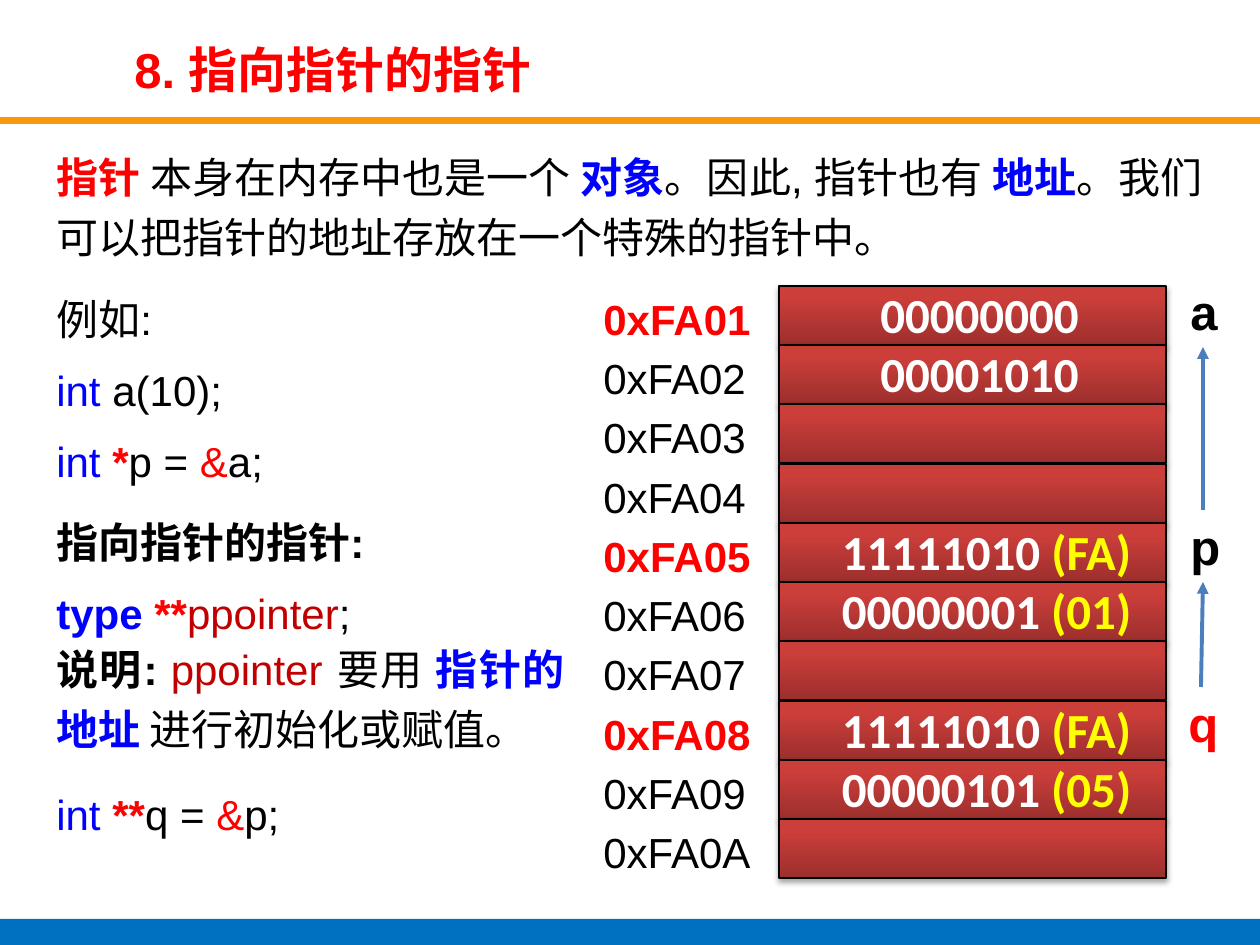
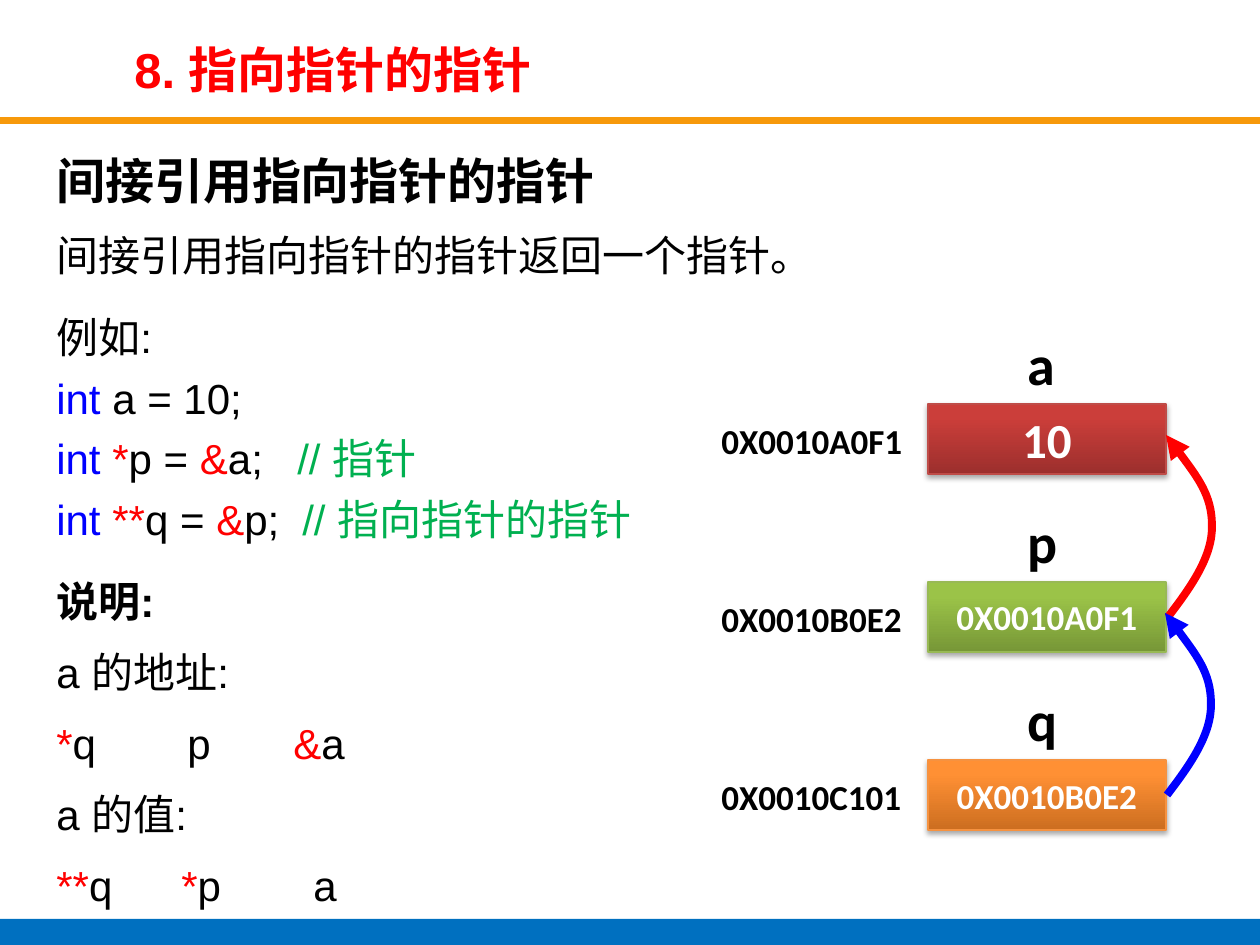
from dataclasses import dataclass
from lxml.etree import SubElement
from pptx import Presentation
from pptx.dml.color import RGBColor
from pptx.enum.shapes import MSO_CONNECTOR, MSO_SHAPE
from pptx.enum.text import MSO_ANCHOR, PP_ALIGN
from pptx.oxml.ns import qn
from pptx.util import Pt

SCALE = 914400 / 126
SLIDE_SIZE = 1260, 945

BLACK, WHITE, RED, BLUE = "000000", "FFFFFF", "FF0000", "0000FF"
YELLOW, GREEN, DARK_RED, ARROW_BLUE = "FFFF00", "00B050", "C00000", "4B7EBC"
RED_BOX = "9C2F2D", "CB3E3A"
GREEN_BOX = "779737", "9BC348"
ORANGE_BOX = "CC6E20", "FF9034"
LEFT, CENTER, JUSTIFY = PP_ALIGN.LEFT, PP_ALIGN.CENTER, PP_ALIGN.JUSTIFY


@dataclass
class Para:
    runs: list
    size: int = 24
    line: float = 1.2
    before: int = 6
    after: int = 0
    tabs: tuple = ()
    align: int = JUSTIFY
    face: str = "Arial"


def label(text, size, color=BLACK, bold=True, align=LEFT, face="Arial"):
    return Para([(text, color, bold)], size, 1, 0, 0, (), align, face)


TITLE = "8. 指向指针的指针"
BANDS = [(117, 7, "F7990A"), (919, 26, "0070C0")]

DEFINITION = [
    Para([("指针 ", RED, True), ("本身在内存中也是一个 ", BLACK, False), ("对象", BLUE, True),
          ("。因此, 指针也有 ", BLACK, False), ("地址", BLUE, True),
          ("。我们可以把指针的地址存放在一个特殊的指针中。", BLACK, False)], after=6),
    Para([("例如:", BLACK, False)]),
    Para([("int", BLUE, False), (" a(10);", BLACK, False)]),
    Para([("int ", BLUE, False), ("*", RED, True), ("p = ", BLACK, False),
          ("&", RED, False), ("a;", BLACK, False)], after=6),
    Para([("指向指针的指针:", BLACK, True)]),
    Para([("type ", BLUE, True), ("**", RED, True), ("ppointer", DARK_RED, False),
          (";", BLACK, False)]),
    Para([("int ", BLUE, False), ("**", RED, True), ("q = ", BLACK, False),
          ("&", RED, False), ("p;", BLACK, False)], before=80),
]
EXPLANATION = [
    Para([("说明: ", BLACK, True), ("ppointer ", DARK_RED, False), ("要用 ", BLACK, False),
          ("指针的地址 ", BLUE, True), ("进行初始化或赋值。", BLACK, False)], before=0),
]
MEMORY = [
    ("0xFA01", "00000000", ""),
    ("0xFA02", "00001010", ""),
    ("0xFA03", "", ""),
    ("0xFA04", "", ""),
    ("0xFA05", "11111010", "(FA)"),
    ("0xFA06", "00000001", "(01)"),
    ("0xFA07", "", ""),
    ("0xFA08", "11111010", "(FA)"),
    ("0xFA09", "00000101", "(05)"),
    ("0xFA0A", "", ""),
]
OBJECT_STARTS = "0xFA01", "0xFA05", "0xFA08"
VARIABLES = [("a", 1178, 275, BLACK), ("p", 1178, 510, BLACK), ("q", 1176, 687, RED)]

INDIRECTION = [
    Para([("间接引用指向指针的指针", BLACK, True)], size=28, line=1),
    Para([("间接引用指向指针的指针返回一个指针。", BLACK, False)], after=6),
    Para([("例如:", BLACK, False)]),
    Para([("int ", BLUE, False), ("a = 10;", BLACK, False)], line=1),
    Para([("int ", BLUE, False), ("*", RED, False), ("p = ", BLACK, False), ("&", RED, False),
          ("a;\t", BLACK, False), ("// 指针", GREEN, False)], line=1, tabs=(241,)),
    Para([("int ", BLUE, False), ("**", RED, False), ("q = ", BLACK, False), ("&", RED, False),
          ("p;\t", BLACK, False), ("// 指向指针的指针", GREEN, False)],
         line=1, after=6, tabs=(246,)),
    Para([("说明:", BLACK, True)]),
    Para([("a 的地址:", BLACK, False)]),
    Para([("*", RED, False), ("q\tp\t", BLACK, False), ("&", RED, False),
          ("a", BLACK, False)], tabs=(131, 237)),
    Para([("a 的值:", BLACK, False)]),
    Para([("**", RED, False), ("q\t", BLACK, False), ("*", RED, False),
          ("p\ta", BLACK, False)], tabs=(125, 257)),
]
NODES = [
    ("a", "0X0010A0F1", "10", 28, RED_BOX, "BF4C48"),
    ("p", "0X0010B0E2", "0X0010A0F1", 20, GREEN_BOX, "98B955"),
    ("q", "0X0010C101", "0X0010B0E2", 20, ORANGE_BOX, "F69240"),
]
NODE_TOP, NODE_PITCH = 404, 178
LINK_CURVE = [(1168, 617), (1191, 587), (1213, 556), (1212, 525),
              (1212, 495), (1189, 465), (1166, 435)]
LINKS = [(0, 0, RED), (-1, NODE_PITCH, BLUE)]


def px(length):
    return round(length * SCALE)


def rgb(color):
    return RGBColor.from_string(color)


def write(frame, paras):
    for index, para in enumerate(paras):
        paragraph = frame.paragraphs[0] if index == 0 else frame.add_paragraph()
        paragraph.alignment = para.align
        paragraph.line_spacing = para.line
        paragraph.space_before = Pt(para.before)
        paragraph.space_after = Pt(para.after)
        if para.tabs:
            stops = SubElement(paragraph._p.get_or_add_pPr(), qn("a:tabLst"))
            for stop in para.tabs:
                SubElement(stops, qn("a:tab"), pos=str(px(stop)), algn="l")
        paragraph.font.name = para.face
        paragraph.font.size = Pt(para.size)
        for text, color, bold in para.runs:
            run = paragraph.add_run()
            run.text = text
            font = paragraph.font if len(para.runs) == 1 else run.font
            font.bold = bold
            font.color.rgb = rgb(color)


def add_text(slide, box, paras, anchor=MSO_ANCHOR.TOP):
    textbox = slide.shapes.add_textbox(*map(px, box))
    textbox.text_frame.word_wrap = True
    textbox.text_frame.vertical_anchor = anchor
    write(textbox.text_frame, paras)
    return textbox


def add_box(slide, box, shades, outline, width):
    rect = slide.shapes.add_shape(MSO_SHAPE.RECTANGLE, *map(px, box))
    rect.fill.gradient()
    rect.fill.gradient_angle = 90
    for stop, shade, position in zip(rect.fill.gradient_stops, shades, (0, 0.8)):
        stop.color.rgb = rgb(shade)
        stop.position = position
    rect.line.color.rgb = rgb(outline)
    rect.line.width = Pt(width)
    rect.shadow.inherit = False
    effects = rect._element.spPr.find(qn("a:effectLst"))
    shadow = SubElement(effects, qn("a:outerShdw"), blurRad="40000", dist="23000",
                        dir="5400000", rotWithShape="0")
    shade = SubElement(shadow, qn("a:srgbClr"), val=BLACK)
    SubElement(shade, qn("a:alpha"), val="35000")
    frame = rect.text_frame
    frame.vertical_anchor = MSO_ANCHOR.MIDDLE
    frame.word_wrap = False
    frame.margin_left = frame.margin_right = frame.margin_top = frame.margin_bottom = 0
    return rect


def style_arrow(arrow, color, width):
    arrow.line.color.rgb = rgb(color)
    arrow.line.width = Pt(width)
    SubElement(arrow.line._get_or_add_ln(), qn("a:tailEnd"), type="triangle")


def add_pointer(slide, source, target):
    pointer = slide.shapes.add_connector(MSO_CONNECTOR.STRAIGHT, 0, 0, 0, 0)
    pointer.begin_connect(source, 0)
    pointer.end_connect(target, 2)
    style_arrow(pointer, ARROW_BLUE, 2.25)
    SubElement(pointer._element.spPr, qn("a:effectLst"))


def add_link(slide, dx, dy, color):
    start, *rest = [(x + dx, y + dy) for x, y in LINK_CURVE]
    builder = slide.shapes.build_freeform(*start, scale=SCALE)
    builder.add_line_segments(rest, close=False)
    link = builder.convert_to_shape()
    outline = link._element.find(".//" + qn("a:path"))
    segments = outline.findall(qn("a:lnTo"))
    for first in range(0, len(segments), 3):
        curve = SubElement(outline, qn("a:cubicBezTo"))
        for segment in segments[first:first + 3]:
            curve.append(segment[0])
            outline.remove(segment)
    link.fill.background()
    link.shadow.inherit = False
    style_arrow(link, color, 4.5)


def add_page(deck):
    slide = deck.slides.add_slide(deck.slide_layouts[6])
    for top, height, color in BANDS:
        band = slide.shapes.add_shape(MSO_SHAPE.RECTANGLE, 0, px(top),
                                      px(SLIDE_SIZE[0]), px(height))
        band.fill.solid()
        band.fill.fore_color.rgb = rgb(color)
        band.line.fill.background()
        band.shadow.inherit = False
    add_text(slide, (122, 34, 864, 69), [label(TITLE, 28, RED)], MSO_ANCHOR.MIDDLE)
    return slide


def build_memory_slide(deck):
    slide = add_page(deck)
    add_text(slide, (44, 135, 1171, 786), DEFINITION)
    add_text(slide, (44, 627, 533, 135), EXPLANATION)
    for row, (address, bits, meaning) in enumerate(MEMORY):
        top = 286 + round(row * 533 / 9)
        cell = add_box(slide, (779, top, 387, 59), RED_BOX, BLACK, 1.5)
        if bits:
            runs = [(bits, WHITE, True)]
            if meaning:
                runs = [(bits + " ", WHITE, True), (meaning, YELLOW, True)]
            cell.text_frame.margin_left = px(28 if meaning else 14)
            cell.text_frame.margin_bottom = px(4)
            write(cell.text_frame, [Para(runs, 28, 1, 0, align=CENTER, face="Calibri")])
        starts = address in OBJECT_STARTS
        add_text(slide, (591, top + 1, 185, 63),
                 [label(address, 24, RED if starts else BLACK, starts)])
    names = [add_text(slide, (left, top, 50, 72), [label(name, 28, color)])
             for name, left, top, color in VARIABLES]
    for target, source in zip(names, names[1:]):
        add_pointer(slide, source, target)


def build_indirection_slide(deck):
    slide = add_page(deck)
    add_text(slide, (44, 144, 1171, 776), INDIRECTION)
    for row, (name, address, value, size, shades, outline) in enumerate(NODES):
        top = NODE_TOP + row * NODE_PITCH
        node = add_box(slide, (928, top, 238, 70), shades, outline, 0.75)
        write(node.text_frame, [label(value, size, WHITE, align=CENTER, face="Calibri")])
        add_text(slide, (709, top + 9, 208, 55), [label(address, 20, face="Calibri")])
        add_text(slide, (1015, top - 81, 64, 81), [label(name, 32, face="Calibri")])
    for link in LINKS:
        add_link(slide, *link)


def main():
    deck = Presentation()
    deck.slide_width, deck.slide_height = map(px, SLIDE_SIZE)
    build_memory_slide(deck)
    build_indirection_slide(deck)
    deck.save("out.pptx")


if __name__ == "__main__":
    main()
